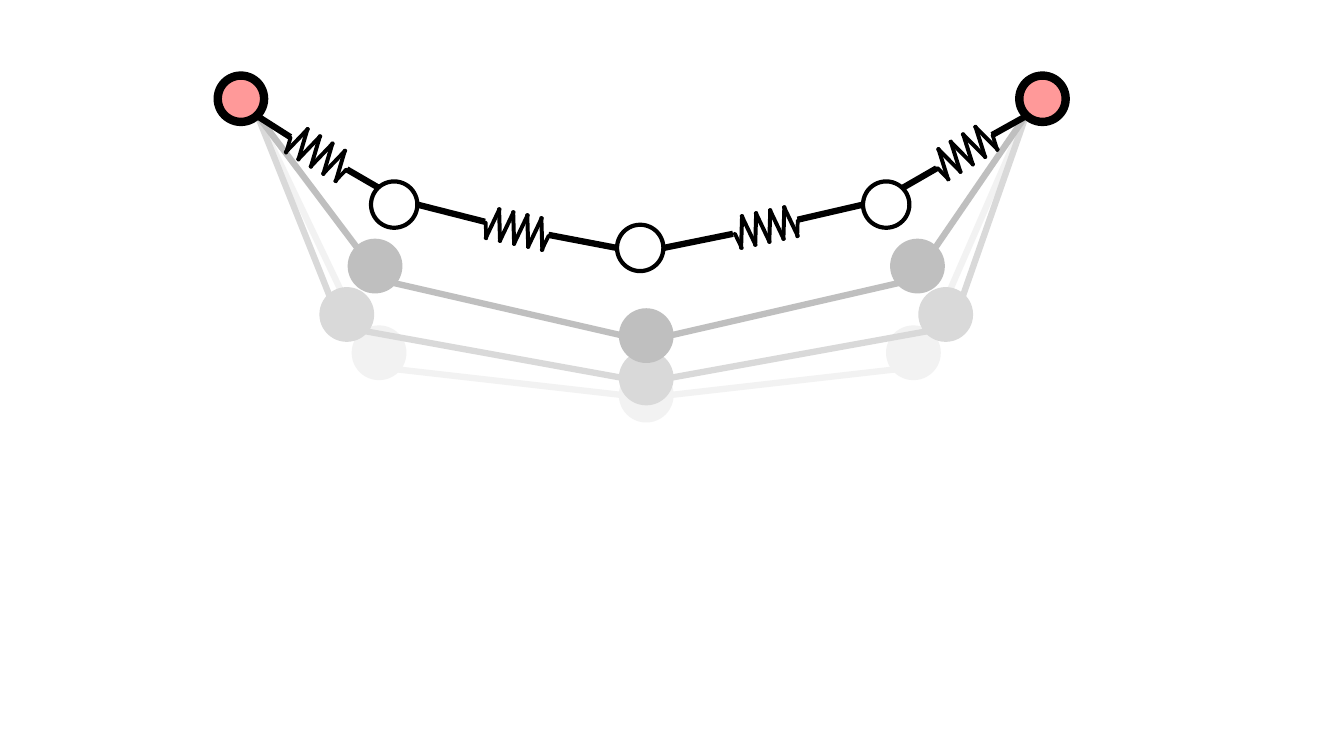
import dataclasses
import math
import typing

import lxml.etree
import pptx
import pptx.dml.color
import pptx.enum.shapes
import pptx.oxml.ns
import pptx.shapes.autoshape
import pptx.shapes.shapetree
import pptx.util

Inches = pptx.util.Inches
MSO_SHAPE = pptx.enum.shapes.MSO_SHAPE


class Point(typing.NamedTuple):
    x: float
    y: float


@dataclasses.dataclass(frozen=True)
class Theme:
    black: str = "000000"
    white: str = "FFFFFF"
    anchor: str = "FF9999"
    light: str = "F2F2F2"
    middle: str = "D9D9D9"
    dark: str = "BFBFBF"
    rod_width: float = 4.5
    heavy_outline: float = 6
    ball_outline: float = 3
    coil_outline: float = 2.5


@dataclasses.dataclass(frozen=True)
class Ghost:
    """An earlier rope position; its right ball mirrors the left one."""
    color: str
    side: Point
    middle: Point


@dataclasses.dataclass(frozen=True)
class Spring:
    """A coil row whose angle is negative when it mirrors a left-hand spring."""
    center: Point
    angle: float


THEME = Theme()
RADIUS = 0.23
DIAGONAL = RADIUS * math.sqrt(0.5)
COILS = 8
SPRING_SPAN = 0.5
COIL_WIDTH, COIL_HEIGHT = 0.08, 0.31
COIL_SLANT = 0.94
END_SHIFT, END_DROP = 0.05, 0.08

ANCHORS = [Point(2.39, 0.98), Point(10.34, 0.98)]
BALLS = [Point(3.91, 2.03), Point(6.35, 2.46), Point(8.79, 2.03)]
GHOSTS = [
    Ghost(THEME.light, Point(3.76, 3.5), Point(6.41, 3.92)),
    Ghost(THEME.middle, Point(3.44, 3.12), Point(6.41, 3.75)),
    Ghost(THEME.dark, Point(3.72, 2.64), Point(6.41, 3.33)),
]
SPRINGS = [
    Spring(Point(3.16, 1.52), 30.1),
    Spring(Point(5.13, 2.27), 11.9),
    Spring(Point(9.57, 1.5), -31.1),
    Spring(Point(7.6, 2.25), -11.9),
]
RODS = [
    (Point(2.88, 1.36), Point(2.55, 1.15)),
    (Point(3.75, 1.86), Point(3.44, 1.68)),
    (Point(4.14, 2.03), Point(4.81, 2.2)),
    (Point(5.44, 2.33), Point(6.12, 2.46)),
    (Point(7.27, 2.32), Point(6.58, 2.46)),
    (Point(8.56, 2.03), Point(7.91, 2.18)),
    (Point(9.29, 1.67), Point(8.96, 1.86)),
    (Point(10.18, 1.15), Point(9.84, 1.34)),
]

Shapes = pptx.shapes.shapetree.GroupShapes


def rgb(color: str) -> pptx.dml.color.RGBColor:
    return pptx.dml.color.RGBColor.from_string(color)


def shift(point: Point, dx: float, dy: float) -> Point:
    return Point(point.x + dx, point.y + dy)


def add_rod(shapes: Shapes, start: Point, end: Point, color: str) -> None:
    line = shapes.add_connector(
        pptx.enum.shapes.MSO_CONNECTOR.STRAIGHT,
        Inches(start.x), Inches(start.y), Inches(end.x), Inches(end.y))
    line.line.color.rgb = rgb(color)
    line.line.width = pptx.util.Pt(THEME.rod_width)
    lxml.etree.SubElement(line.element.spPr, pptx.oxml.ns.qn("a:effectLst"))


def add_centered(shapes: Shapes, kind: MSO_SHAPE, center: Point, width: float,
                 height: float, fill: str, line: str,
                 outline: float) -> pptx.shapes.autoshape.Shape:
    sp = shapes.add_shape(
        kind, Inches(center.x - width / 2), Inches(center.y - height / 2),
        Inches(width), Inches(height))
    sp.shadow.inherit = False
    sp.fill.solid()
    sp.fill.fore_color.rgb = rgb(fill)
    sp.line.color.rgb = rgb(line)
    sp.line.width = pptx.util.Pt(outline)
    return sp


def add_ball(shapes: Shapes, center: Point, fill: str, line: str,
             outline: float) -> None:
    add_centered(shapes, MSO_SHAPE.OVAL, center, 2 * RADIUS, 2 * RADIUS,
                 fill, line, outline)


def add_ghost(shapes: Shapes, ghost: Ghost) -> None:
    right = Point(2 * ghost.middle.x - ghost.side.x, ghost.side.y)
    for side, anchor, inward in zip((ghost.side, right), ANCHORS, (1, -1)):
        add_rod(shapes, shift(side, inward * DIAGONAL, DIAGONAL),
                shift(ghost.middle, -inward * RADIUS, 0), ghost.color)
        add_rod(shapes, shift(side, -inward * DIAGONAL, -DIAGONAL),
                shift(anchor, inward * DIAGONAL, DIAGONAL), ghost.color)
    for center in (ghost.middle, ghost.side, right):
        add_ball(shapes, center, ghost.color, ghost.color, THEME.heavy_outline)


def add_spring(shapes: Shapes, spring: Spring) -> None:
    """Draw alternately slanted coils with a half-size coil at each end."""
    mirror = 1 if spring.angle > 0 else -1
    turn = math.radians(abs(spring.angle))
    for i in range(-1, COILS + 1):
        is_end = i in (-1, COILS)
        coil = min(max(i, 0), COILS - 1)
        along = SPRING_SPAN * (coil / (COILS - 1) - 0.5)
        along += END_SHIFT * (i - coil)
        across = END_DROP if is_end else 0
        scale = 0.5 if is_end else 1
        dx = along * math.cos(turn) - across * math.sin(turn)
        dy = along * math.sin(turn) + across * math.cos(turn)
        sp = add_centered(
            shapes, MSO_SHAPE.PARALLELOGRAM,
            shift(spring.center, mirror * dx, dy),
            COIL_WIDTH * scale, COIL_HEIGHT * scale,
            THEME.black, THEME.black, THEME.coil_outline)
        sp.adjustments[0] = COIL_SLANT
        sp.rotation = spring.angle
        if (i % 2 == 1) == (mirror == 1):
            sp.element.spPr.get_or_add_xfrm().set("flipH", "1")


def main() -> None:
    prs = pptx.Presentation()
    prs.slide_width, prs.slide_height = Inches(13.33), Inches(7.5)
    s = prs.slides.add_slide(prs.slide_layouts[6])
    for ghost in GHOSTS:
        add_ghost(s.shapes.add_group_shape().shapes, ghost)

    rope = s.shapes.add_group_shape().shapes
    for anchor in ANCHORS:
        add_ball(rope, anchor, THEME.anchor, THEME.black, THEME.heavy_outline)
    for start, end in RODS:
        add_rod(rope, start, end, THEME.black)
    for ball in BALLS:
        add_ball(rope, ball, THEME.white, THEME.black, THEME.ball_outline)
    for spring in SPRINGS:
        add_spring(rope, spring)
    prs.save("out.pptx")


if __name__ == "__main__":
    main()
